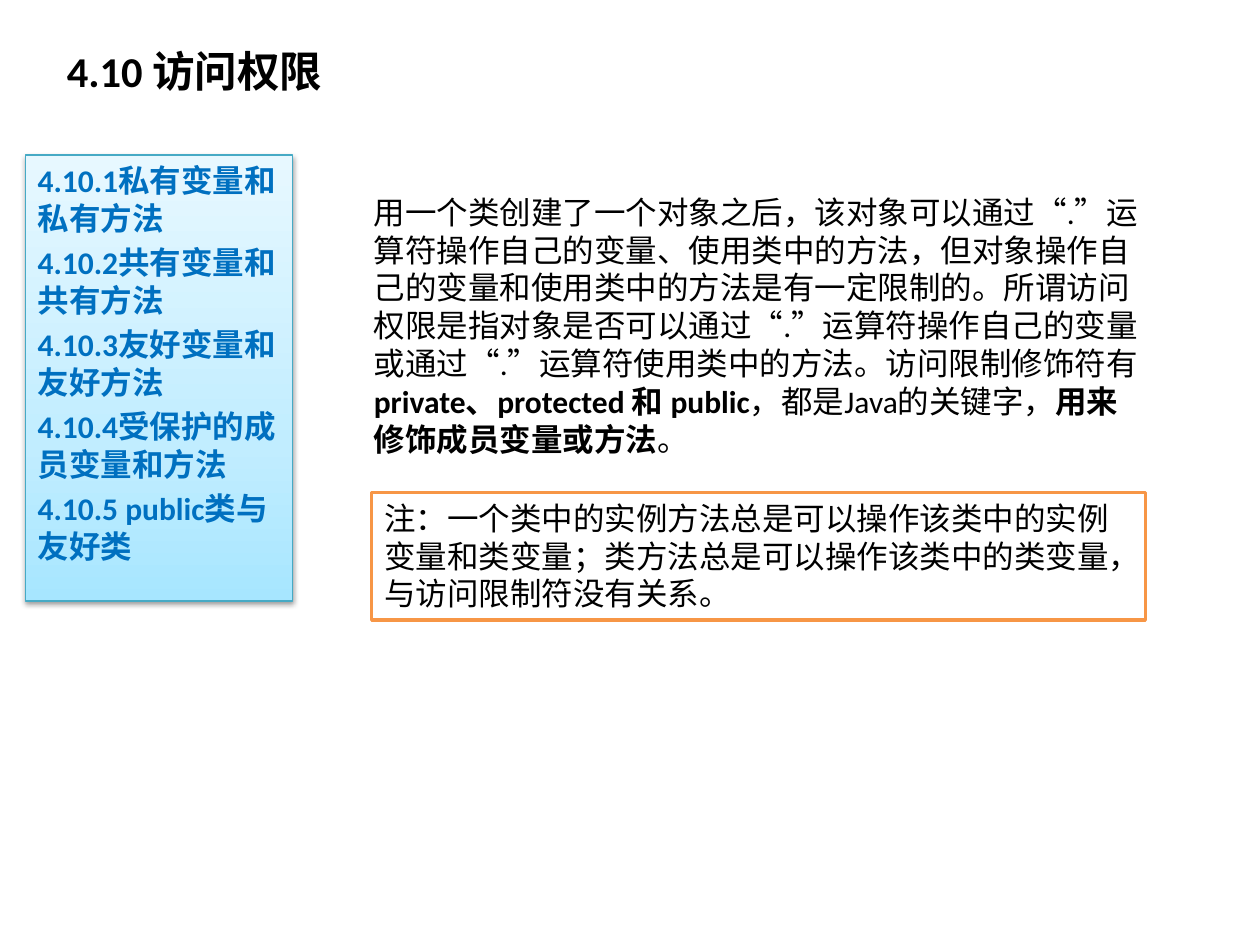
import dataclasses

import lxml.etree
import pptx
import pptx.dml.color
import pptx.enum.lang
import pptx.enum.shapes
import pptx.enum.text
import pptx.oxml
import pptx.util

Pt = pptx.util.Pt
NAMESPACE = "http://schemas.openxmlformats.org/drawingml/2006/main"


@dataclasses.dataclass(frozen=True)
class Theme:
    """Colours, font and type sizes of the slide."""
    font: str = "Calibri"
    title_size: float = 24.3
    body_size: float = 18
    text: str = "000000"
    topic: str = "0070C0"
    paper: str = "FFFFFF"
    note_line: str = "F79646"
    outline_line: str = "46AAC5"
    outline_stops: tuple = ((0, "A7E6FF"), (35, "C1EDFF"), (100, "E7F8FF"))


THEME = Theme()
TOPICS = (
    "4.10.1私有变量和私有方法",
    "4.10.2共有变量和共有方法",
    "4.10.3友好变量和友好方法",
    "4.10.4受保护的成员变量和方法",
    "4.10.5 public类与友好类",
)
EXPLANATION = (
    ("用一个类创建了一个对象之后，该对象可以通过“.”运算符操作自己的变量、"
     "使用类中的方法，但对象操作自己的变量和使用类中的方法是有一定限制的。"
     "所谓访问权限是指对象是否可以通过“.”运算符操作自己的变量或通过“.”"
     "运算符使用类中的方法。访问限制修饰符有", False),
    ("private、protected 和 public", True),
    ("，都是Java的关键字，", False),
    ("用来修饰成员变量或方法", True),
    ("。", False),
)
NOTE = ("注：一个类中的实例方法总是可以操作该类中的实例变量和类变量；"
        "类方法总是可以操作该类中的类变量，与访问限制符没有关系。")


def rgb(value):
    """Turn a hex string into a colour."""
    return pptx.dml.color.RGBColor.from_string(value)


def add_span(para, text, size, color, bold=False):
    """Add one formatted run to a left-aligned paragraph."""
    para.alignment = pptx.enum.text.PP_ALIGN.LEFT
    span = para.add_run()
    span.text = text
    span.font.name = THEME.font
    span.font.size = Pt(size)
    span.font.bold = bold
    span.font.color.rgb = rgb(color)
    span.font.language_id = pptx.enum.lang.MSO_LANGUAGE_ID.SIMPLIFIED_CHINESE


def add_panel(page, area, line_color, line_width):
    """Add an outlined rectangle with top-anchored text."""
    panel = page.shapes.add_shape(
        pptx.enum.shapes.MSO_SHAPE.RECTANGLE, *map(Pt, area))
    panel.shadow.inherit = False
    panel.line.color.rgb = rgb(line_color)
    panel.line.width = Pt(line_width)
    panel.text_frame.word_wrap = True
    panel.text_frame.vertical_anchor = pptx.enum.text.MSO_ANCHOR.TOP
    return panel


def style_outline(panel):
    """Give the panel its three-stop gradient and soft shadow."""
    panel.fill.gradient()
    panel.fill.gradient_angle = 90
    properties = panel._element.spPr
    stops = properties.find(f".//{{{NAMESPACE}}}gsLst")
    for stop in list(stops):
        stops.remove(stop)
    for position, color in THEME.outline_stops:
        stop = lxml.etree.SubElement(
            stops, f"{{{NAMESPACE}}}gs", pos=str(position * 1000))
        lxml.etree.SubElement(stop, f"{{{NAMESPACE}}}srgbClr", val=color)
    effects = properties.find(f"{{{NAMESPACE}}}effectLst")
    effects.append(pptx.oxml.parse_xml(
        f'<a:outerShdw xmlns:a="{NAMESPACE}" blurRad="{Pt(3.1)}" '
        f'dist="{Pt(1.6)}" dir="5400000" rotWithShape="0">'
        '<a:srgbClr val="000000"><a:alpha val="38000"/></a:srgbClr>'
        '</a:outerShdw>'))


def build_title(page, area):
    """Place the section title in its placeholder."""
    title = page.shapes.title
    title.left, title.top, title.width, title.height = map(Pt, area)
    title.text_frame.vertical_anchor = pptx.enum.text.MSO_ANCHOR.MIDDLE
    add_span(title.text_frame.paragraphs[0], "4.10 访问权限",
             THEME.title_size, THEME.text, True)


def build_outline(page, area):
    """Place the list of subsections in a gradient panel."""
    panel = add_panel(page, area, THEME.outline_line, 0.75)
    style_outline(panel)
    frame = panel.text_frame
    for index, topic in enumerate(TOPICS):
        para = frame.add_paragraph() if index else frame.paragraphs[0]
        if index:
            para.space_before = Pt(0.2 * THEME.body_size)
        add_span(para, topic, THEME.body_size, THEME.topic, True)


def build_explanation(page, area):
    """Place the running text on access rights."""
    box = page.shapes.add_textbox(*map(Pt, area))
    box.text_frame.word_wrap = True
    for text, bold in EXPLANATION:
        add_span(box.text_frame.paragraphs[0], text,
                 THEME.body_size, THEME.text, bold)


def build_note(page, area):
    """Place the remark in an outlined panel."""
    panel = add_panel(page, area, THEME.note_line, 2)
    panel.fill.solid()
    panel.fill.fore_color.rgb = rgb(THEME.paper)
    add_span(panel.text_frame.paragraphs[0], NOTE,
             THEME.body_size, THEME.text)


def main():
    """Build and save the slide."""
    deck = pptx.Presentation()
    deck.slide_width, deck.slide_height = Pt(720), Pt(540)
    page = deck.slides.add_slide(deck.slide_layouts[5])
    build_title(page, (31, 20, 233, 40))
    build_outline(page, (14.4, 88.6, 152.6, 254.9))
    build_explanation(page, (206.6, 106.6, 453.6, 159.8))
    build_note(page, (212.4, 281.5, 442.1, 72.7))
    deck.save("out.pptx")


if __name__ == "__main__":
    main()
